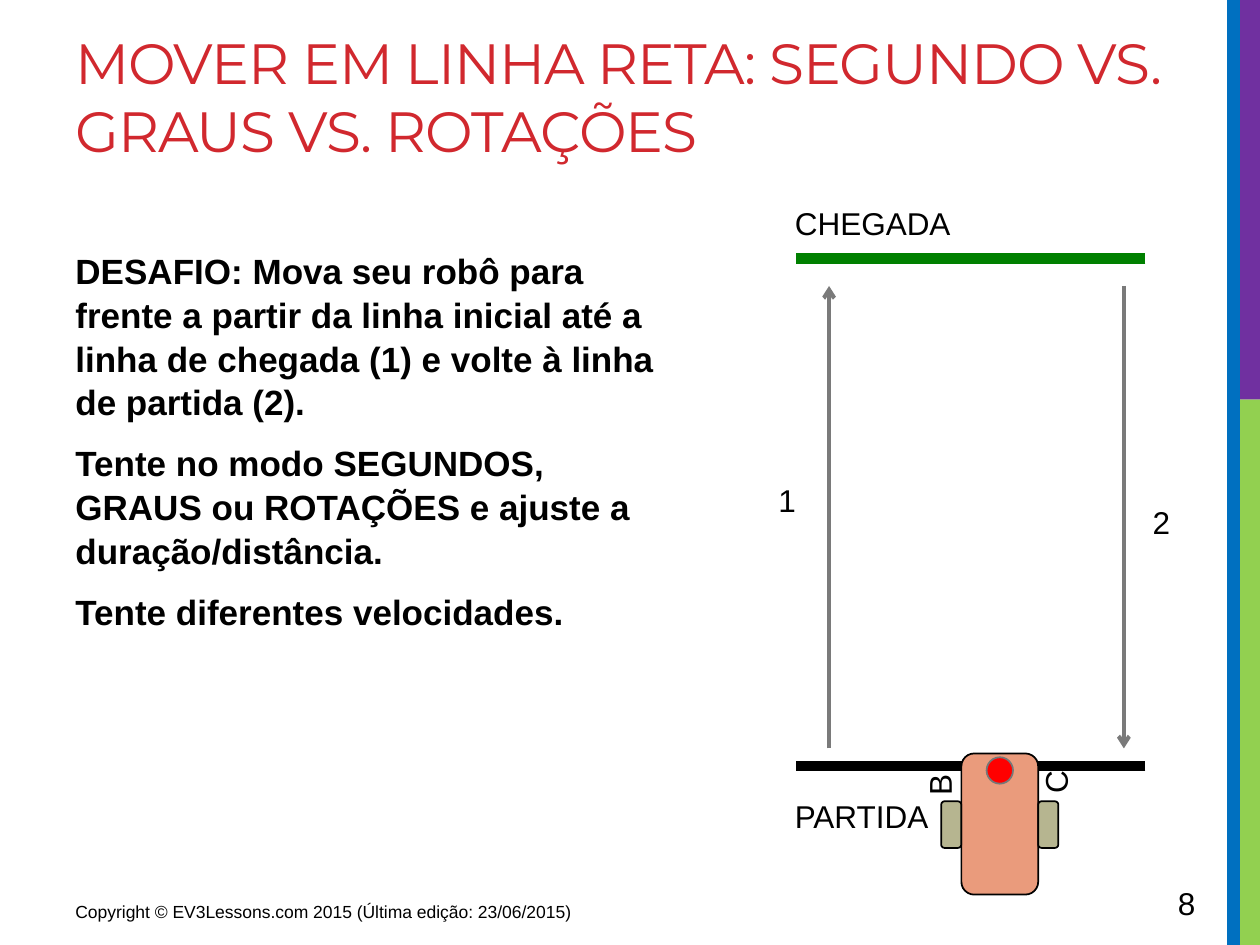
from lxml import etree
from pptx import Presentation
from pptx.dml.color import RGBColor
from pptx.enum.shapes import MSO_CONNECTOR, MSO_SHAPE
from pptx.enum.text import MSO_ANCHOR, PP_ALIGN
from pptx.oxml.ns import qn
from pptx.util import Inches, Pt

RECTANGLE = MSO_SHAPE.RECTANGLE
ROUNDED = MSO_SHAPE.ROUNDED_RECTANGLE
OVAL = MSO_SHAPE.OVAL
STRAIGHT = MSO_CONNECTOR.STRAIGHT
TOP = MSO_ANCHOR.TOP
LEFT = PP_ALIGN.LEFT

COLORS = {
    "title": "D1282E", "text": "000000", "green": "92D050", "purple": "7030A0",
    "blue": "0070C0", "finish": "008000", "start": "000000", "arrow": "7A7A7A",
    "body": "EA9B7C", "wheel": "B6B590", "outline": "000000",
    "sensor": "FF0000", "sensor_outline": "777777",
}


def color(name):
    return RGBColor.from_string(COLORS[name])


def add_text(shapes, text, left, top, width, height, size=18, font="Arial",
             fill="text", bold=False, wrap=True, before=0, after=0,
             line_spacing=None, tracking=None, rotation=0):
    box = shapes.add_textbox(Inches(left), Inches(top), Inches(width), Inches(height))
    box.rotation = rotation
    frame = box.text_frame
    frame.word_wrap = wrap
    frame.vertical_anchor = TOP
    for index, line in enumerate(text.split("\n")):
        para = frame.add_paragraph() if index else frame.paragraphs[0]
        para.alignment = LEFT
        para.space_before = Pt(before if index else 0)
        para.space_after = Pt(after)
        if line_spacing:
            para.line_spacing = line_spacing
        span = para.add_run()
        span.text = line
        span.font.name = font
        span.font.size = Pt(size)
        span.font.bold = bold
        span.font.color.rgb = color(fill)
        if tracking is not None:
            span.font._element.set("spc", str(tracking))
    return box


def add_block(shapes, kind, left, top, width, height, fill, outline=None):
    block = shapes.add_shape(kind, Inches(left), Inches(top), Inches(width), Inches(height))
    block.shadow.inherit = False
    block.fill.solid()
    block.fill.fore_color.rgb = color(fill)
    if outline:
        block.line.color.rgb = color(outline)
        block.line.width = Pt(1)
    else:
        block.line.fill.background()
    return block


def add_line(shapes, start, end, stroke, weight, arrow=False):
    line = shapes.add_connector(STRAIGHT, *(Inches(value) for value in start + end))
    line.line.color.rgb = color(stroke)
    line.line.width = Pt(weight)
    if arrow:
        etree.SubElement(line.line._get_or_add_ln(), qn("a:tailEnd"), type="arrow")
    etree.SubElement(line._element.spPr, qn("a:effectLst"))
    return line


def add_side_bars(page, left, top, width, height):
    split = 3.17
    right = left + width
    add_block(page.shapes, RECTANGLE, right - 0.16, top + split, 0.16, height - split, "green")
    add_block(page.shapes, RECTANGLE, right - 0.2, top, 0.2, split, "purple")
    add_block(page.shapes, RECTANGLE, left, top, 0.1, height, "blue")


def add_challenge(page, left, top, width, height):
    text = "\n".join([
        "DESAFIO: Mova seu robô para frente a partir da linha inicial até a linha "
        "de chegada (1) e volte à linha de partida (2).",
        "Tente no modo SEGUNDOS, GRAUS ou ROTAÇÕES e ajuste a duração/distância.",
        "Tente diferentes velocidades.",
    ])
    add_text(page.shapes, text, left, top, width, height, size=20, bold=True,
             before=4, after=6, line_spacing=1.04)


def add_course(page, left, top, width, height):
    shapes = page.shapes
    right, bottom = left + width, top + height
    for level, stroke in ((top, "finish"), (bottom, "start")):
        add_line(shapes, (right, level), (left, level), stroke, 6)
    far, near = top + 0.22, bottom - 0.14
    up, down = left + 0.26, right - 0.17
    add_line(shapes, (up, near), (up, far), "arrow", 2.25, arrow=True)
    add_line(shapes, (down, far), (down, near), "arrow", 2.25, arrow=True)
    add_text(shapes, "1", left - 0.24, top + 1.72, 0.34, 0.4)
    add_text(shapes, "2", right - 0.04, top + 1.89, 0.34, 0.4)
    add_text(shapes, "CHEGADA", left - 0.11, top - 0.48, 1.45, 0.4, wrap=False)
    add_text(shapes, "PARTIDA", left - 0.11, bottom + 0.2, 1.27, 0.4, wrap=False)


def add_robot(page, left, top, width, height):
    shapes = page.shapes.add_group_shape().shapes
    wheel = 0.16
    body_width = width - 2 * wheel
    add_block(shapes, ROUNDED, left + wheel, top, body_width, height, "body", "outline")
    for wheel_left in (left + width - wheel, left):
        add_block(shapes, ROUNDED, wheel_left, top + 0.38, wheel, 0.37, "wheel", "outline")
    sensor = 0.21
    add_block(shapes, OVAL, left + (width - sensor) / 2, top + 0.03, sensor, sensor,
              "sensor", "sensor_outline")
    for port, offset, drop in (("B", -0.29, 0.06), ("C", 0.63, 0.04)):
        add_text(shapes, port, left + offset, top + drop, 0.45, 0.3, rotation=270)


def main():
    deck = Presentation()
    deck.slide_width, deck.slide_height = Inches(10), Inches(7.5)
    page = deck.slides.add_slide(deck.slide_layouts[6])
    add_side_bars(page, 9.74, 0, 0.26, 7.5)
    add_text(page.shapes, "MOVER EM LINHA RETA: SEGUNDO VS. GRAUS VS. ROTAÇÕES",
             0.5, 0.17, 9.02, 1.5, size=32.4, font="Montserrat", fill="title", tracking=-60)
    add_challenge(page, 0.5, 1.92, 4.98, 4.78)
    add_text(page.shapes, "Copyright © EV3Lessons.com 2015 (Última edição: 23/06/2015)",
             0.5, 7.1, 4.31, 0.31, size=10)
    add_text(page.shapes, "8", 9.25, 6.97, 0.69, 0.4)
    add_course(page, 6.32, 2.05, 2.77, 4.03)
    add_robot(page, 7.47, 5.98, 0.93, 1.12)
    deck.save("out.pptx")


if __name__ == "__main__":
    main()
